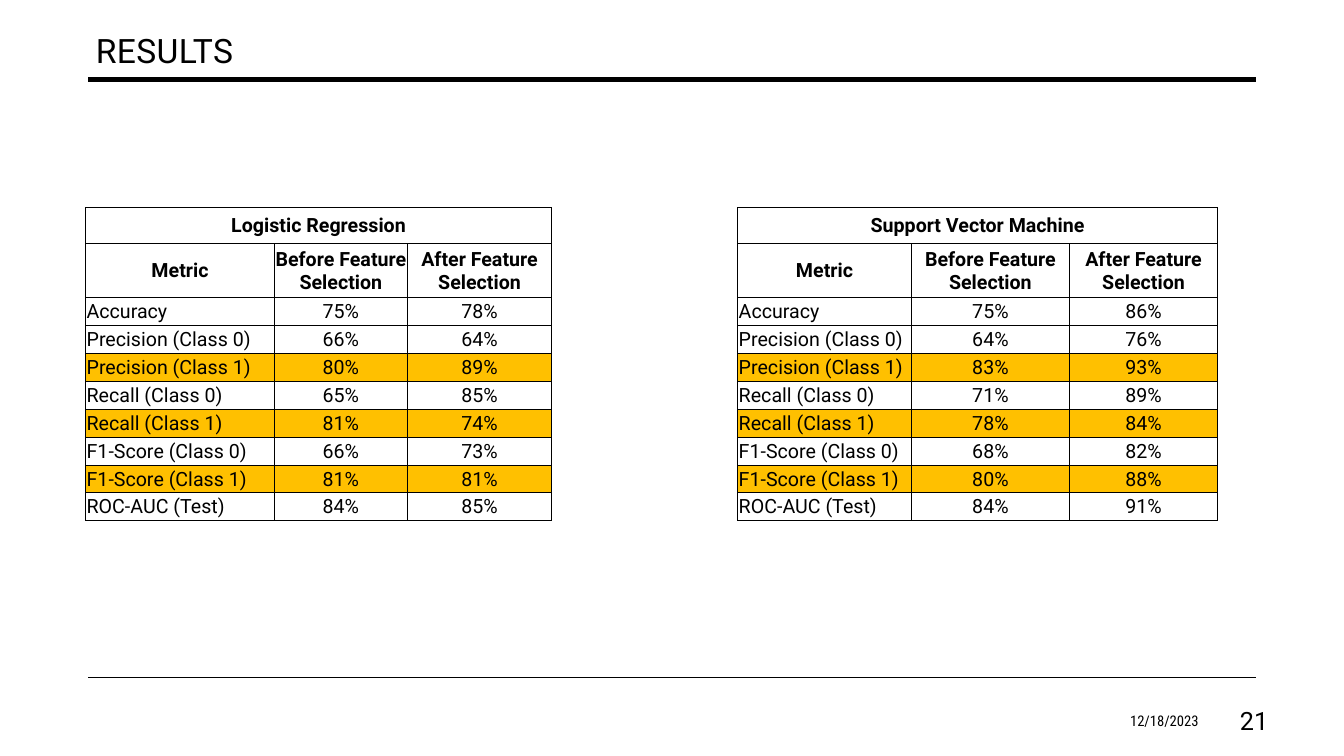
import pptx
import pptx.util
import pptx.dml.color
import pptx.enum.shapes
import pptx.enum.text
import pptx.oxml
import pptx.oxml.ns

Pt = pptx.util.Pt
ALIGN = pptx.enum.text.PP_ALIGN
MIDDLE = pptx.enum.text.MSO_ANCHOR.MIDDLE
FIT = pptx.enum.text.MSO_AUTO_SIZE
NS = pptx.oxml.ns.nsdecls("a")


def color(code):
    return pptx.dml.color.RGBColor.from_string(code)


def write(frame, text, size=14, font="Roboto", ink="000000", bold=False,
          align=ALIGN.LEFT, track=0):
    """Put one formatted run of text into a text frame."""
    para = frame.paragraphs[0]
    para.alignment = align
    run = para.add_run()
    run.text = text
    run.font.size = Pt(size)
    run.font.name = font
    run.font.bold = bold
    run.font.color.rgb = color(ink)
    if track:
        run.font._element.set("spc", str(round(track * 100)))


class Deck:
    ink = "000000"
    mark = "FFC000"
    heads = ["Metric", "Before Feature Selection", "After Feature Selection"]
    rows = [25.6, 38.6] + [19.95] * 8

    def __init__(self, wide, high):
        self.show = pptx.Presentation()
        self.show.slide_width, self.show.slide_height = Pt(wide), Pt(high)
        self.slide = self.show.slides.add_slide(self.show.slide_layouts[5])

    def title(self, text, x, y, w, h):
        head = self.slide.shapes.title
        head.left, head.top, head.width, head.height = map(Pt, (x, y, w, h))
        frame = head.text_frame
        frame.word_wrap = True
        frame.auto_size = FIT.SHAPE_TO_FIT_TEXT
        frame.vertical_anchor = MIDDLE
        write(frame, text, size=24, track=0.3)

    def rule(self, x, y, end, weight):
        line = self.slide.shapes.add_connector(
            pptx.enum.shapes.MSO_CONNECTOR.STRAIGHT, Pt(x), Pt(y), Pt(end), Pt(y))
        line.line.color.rgb = color(self.ink)
        line.line.width = Pt(weight)
        line._element.spPr.append(pptx.oxml.parse_xml(f"<a:effectLst {NS}/>"))

    def label(self, text, x, y, w, h, **style):
        frame = self.slide.shapes.add_textbox(*map(Pt, (x, y, w, h))).text_frame
        frame.word_wrap = True
        frame.vertical_anchor = MIDDLE
        write(frame, text, align=ALIGN.RIGHT, **style)

    def edge(self, cell, outer):
        """Draw the four borders: heavier on the sides named in outer."""
        props = cell._tc.get_or_add_tcPr()
        for side in "LRTB":
            width = Pt(1 if side in outer else 0.5)
            props.append(pptx.oxml.parse_xml(
                f'<a:ln{side} {NS} w="{width}"><a:solidFill>'
                f'<a:srgbClr val="{self.ink}"/></a:solidFill></a:ln{side}>'))

    def table(self, name, data, x, y, cols):
        grid = self.slide.shapes.add_table(
            len(self.rows), len(cols), Pt(x), Pt(y),
            Pt(sum(cols)), Pt(sum(self.rows))).table
        grid.first_row = grid.horz_banding = False
        for col, width in zip(grid.columns, cols):
            col.width = Pt(width)
        for row, height in zip(grid.rows, self.rows):
            row.height = Pt(height)
        grid.cell(0, 0).merge(grid.cell(0, len(cols) - 1))

        body = [[metric, *pair] for metric, pair in zip(METRICS, data)]
        for r, line in enumerate([[name, "", ""], self.heads] + body):
            for c, text in enumerate(line):
                cell = grid.cell(r, c)
                cell.margin_left = cell.margin_right = cell.margin_top = Pt(0.7)
                cell.margin_bottom = 0
                cell.vertical_anchor = MIDDLE
                sides = {"L": c == 0 or r == 0, "R": c == 2 or r == 0,
                         "T": r == 0, "B": r == len(self.rows) - 1}
                self.edge(cell, [side for side in sides if sides[side]])
                if r > 1 and "Class 1" in line[0]:
                    cell.fill.solid()
                    cell.fill.fore_color.rgb = color(self.mark)
                else:
                    cell.fill.background()
                if text:
                    left = r > 1 and c == 0
                    write(cell.text_frame, text, bold=r < 2,
                          align=ALIGN.LEFT if left else ALIGN.CENTER)


METRICS = ["Accuracy"] + [f"{kind} (Class {n})" for kind in
                          ("Precision", "Recall", "F1-Score") for n in (0, 1)]
METRICS.append("ROC-AUC (Test)")

LOGIT = [("75%", "78%"), ("66%", "64%"), ("80%", "89%"), ("65%", "85%"),
         ("81%", "74%"), ("66%", "73%"), ("81%", "81%"), ("84%", "85%")]
VECTOR = [("75%", "86%"), ("64%", "76%"), ("83%", "93%"), ("71%", "89%"),
          ("78%", "84%"), ("68%", "82%"), ("80%", "88%"), ("84%", "91%")]


def main():
    deck = Deck(960, 540)

    # Title and rules
    deck.title("RESULTS", 61.2, 17.5, 132, 36)
    deck.rule(63.2, 56.9, 897.1, 3.5)
    deck.rule(63.2, 483.8, 897.1, 1)

    # Score tables
    deck.table("Logistic Regression", LOGIT, 61.2, 148.3, [134.8, 95.1, 103])
    deck.table("Support Vector Machine", VECTOR, 527, 148.3, [124, 113, 105.8])

    # Footer
    deck.label("12/18/2023", 658.8, 500.4, 204.5, 28.8,
               size=10.5, font="Roboto Condensed")
    deck.label("21", 859.7, 500.4, 53.3, 28.8, size=18)

    deck.show.save("out.pptx")


if __name__ == "__main__":
    main()
